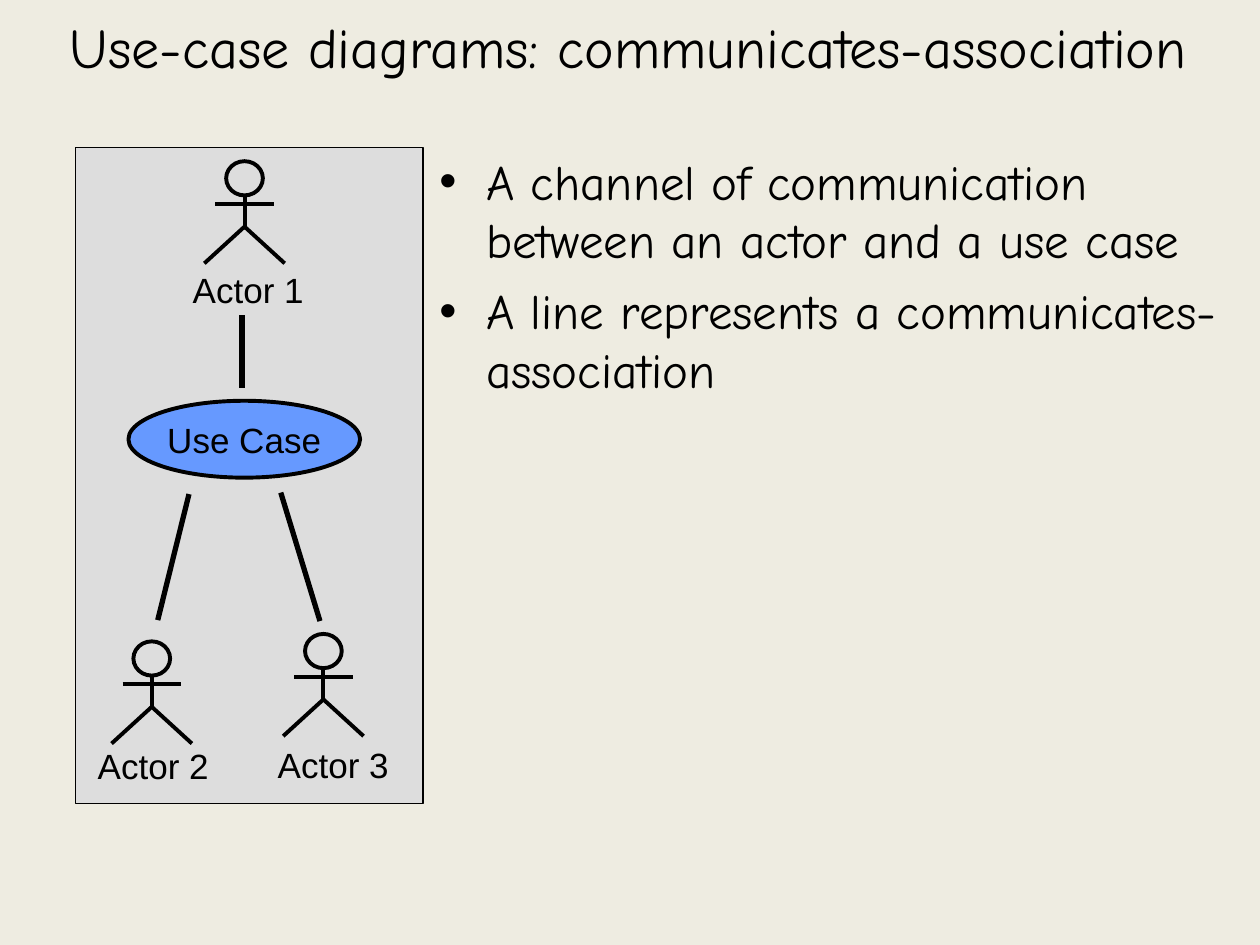
from dataclasses import dataclass

from pptx import Presentation
from pptx.dml.color import RGBColor
from pptx.enum.shapes import MSO_CONNECTOR as Connector, MSO_SHAPE as Shape
from pptx.enum.text import MSO_ANCHOR as Anchor, PP_ALIGN as Align
from pptx.oxml.ns import qn
from pptx.util import Cm, Pt
from lxml.etree import SubElement

COLORS = {
    "background": "EEECE1",
    "panel": "DDDDDD",
    "use_case": "6699FF",
    "ink": "000000",
}
TITLE_FONT = {"name": "Comic Neue", "size": Pt(32)}
BODY_FONT = {"name": "Comic Neue", "size": Pt(28)}
LABEL_FONT = {"name": "Arial", "size": Pt(20)}
FIGURE_WIDTH, LINK_WIDTH = 2.25, 3


@dataclass
class Box:
    left: float
    top: float
    width: float
    height: float

    def lengths(self) -> tuple:
        return tuple(Cm(v) for v in (self.left, self.top, self.width, self.height))


@dataclass
class Actor:
    name: str
    center: float
    top: float
    label: Box


@dataclass
class Link:
    start: tuple
    end: tuple


ACTORS = [
    Actor("Actor 1", 4.93, 3.25, Box(3, 5.28, 4.01, 1.09)),
    Actor("Actor 2", 3.06, 12.93, Box(0.97, 14.88, 4.24, 1.09)),
    Actor("Actor 3", 6.52, 12.78, Box(4.6, 14.86, 4.24, 1.09)),
]
LINKS = [
    Link((4.88, 6.35), (4.88, 7.82)),
    Link((3.81, 9.96), (3.18, 12.5)),
    Link((5.66, 9.93), (6.45, 12.52)),
]
BULLETS = [
    "A channel of communication between an actor and a use case",
    "A line represents a communicates-association",
]


def color(name: str) -> RGBColor:
    return RGBColor.from_string(COLORS[name])


def set_line(shape, width: float) -> None:
    shape.line.color.rgb = color("ink")
    shape.line.width = Pt(width)


def style_shape(shape, fill, width: float) -> None:
    shape.shadow.inherit = False
    if fill:
        shape.fill.solid()
        shape.fill.fore_color.rgb = color(fill)
    else:
        shape.fill.background()
    set_line(shape, width)


def format_font(paragraph, font_format: dict) -> None:
    for attribute, value in font_format.items():
        setattr(paragraph.font, attribute, value)
    paragraph.font.color.rgb = color("ink")


def write_centered(frame, text: str, font_format: dict) -> None:
    frame.text = text
    paragraph = frame.paragraphs[0]
    paragraph.alignment = Align.CENTER
    format_font(paragraph, font_format)


def add_line(shapes, start: tuple, end: tuple, width: float) -> None:
    ends = [Cm(value) for value in (*start, *end)]
    connector = shapes.add_connector(Connector.STRAIGHT, *ends)
    SubElement(connector._element.spPr, qn("a:effectLst"))
    set_line(connector, width)


def add_actor(slide, actor: Actor) -> None:
    shapes = slide.shapes.add_group_shape().shapes
    x, top = actor.center, actor.top
    neck, arms, hip, feet = (top + drop for drop in (0.69, 0.86, 1.32, 2.06))

    head = shapes.add_shape(Shape.OVAL, *Box(x - 0.37, top, 0.74, 0.69).lengths())
    style_shape(head, None, FIGURE_WIDTH)
    add_line(shapes, (x, neck), (x, hip), FIGURE_WIDTH)
    add_line(shapes, (x - 0.59, arms), (x + 0.59, arms), FIGURE_WIDTH)

    builder = shapes.build_freeform(Cm(x - 0.81), Cm(feet))
    builder.add_line_segments([(Cm(x), Cm(hip)), (Cm(x + 0.81), Cm(feet))], close=False)
    style_shape(builder.convert_to_shape(), None, FIGURE_WIDTH)

    label = slide.shapes.add_textbox(*actor.label.lengths())
    label.text_frame.word_wrap = True
    write_centered(label.text_frame, actor.name, LABEL_FONT)


def add_bullets(slide, box: Box, texts: list) -> None:
    frame = slide.shapes.add_textbox(*box.lengths()).text_frame
    frame.word_wrap = True
    for index, text in enumerate(texts):
        paragraph = frame.add_paragraph() if index else frame.paragraphs[0]
        paragraph.text = text
        if index:
            paragraph.space_before = Pt(7)
        properties = paragraph._p.get_or_add_pPr()
        properties.set("marL", str(Cm(0.94)))
        properties.set("indent", str(-Cm(0.94)))
        SubElement(properties, qn("a:buFont"), typeface="Arial")
        SubElement(properties, qn("a:buChar"), char="•")
        format_font(paragraph, BODY_FONT)


def main() -> None:
    presentation = Presentation()
    presentation.slide_width, presentation.slide_height = Cm(25.4), Cm(19.05)
    slide = presentation.slides.add_slide(presentation.slide_layouts[5])
    slide.background.fill.solid()
    slide.background.fill.fore_color.rgb = color("background")

    # Title
    title = slide.shapes.title
    title.left, title.top, title.width, title.height = Box(0.18, 0.2, 24.99, 1.47).lengths()
    title.text_frame.vertical_anchor = Anchor.MIDDLE
    write_centered(title.text_frame, "Use-case diagrams: communicates-association", TITLE_FONT)

    # Explanation
    add_bullets(slide, Box(8.61, 2.92, 16.51, 14.02), BULLETS)

    # Diagram panel and use case
    panel = slide.shapes.add_shape(Shape.RECTANGLE, *Box(1.52, 2.97, 7.01, 13.23).lengths())
    style_shape(panel, "panel", 0.75)
    use_case = slide.shapes.add_shape(Shape.OVAL, *Box(2.59, 8.08, 4.67, 1.55).lengths())
    style_shape(use_case, "use_case", FIGURE_WIDTH)
    use_case.text_frame.word_wrap = False
    use_case.text_frame.vertical_anchor = Anchor.MIDDLE
    write_centered(use_case.text_frame, "Use Case", LABEL_FONT)

    # Actors and their associations
    for actor in ACTORS:
        add_actor(slide, actor)
    for link in LINKS:
        add_line(slide.shapes, link.start, link.end, LINK_WIDTH)

    presentation.save("out.pptx")


if __name__ == "__main__":
    main()
